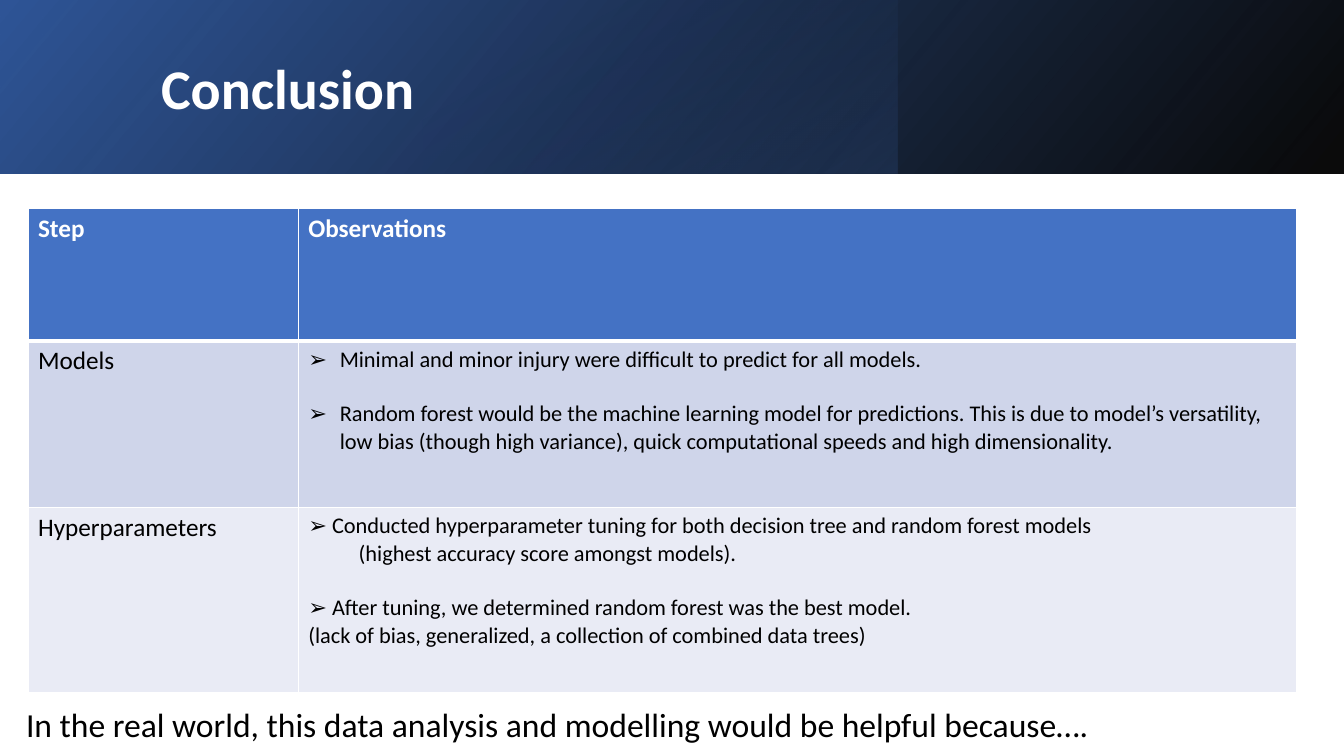
from lxml.etree import SubElement
from pptx import Presentation
from pptx.dml.color import RGBColor
from pptx.enum.shapes import MSO_SHAPE as Shape
from pptx.enum.text import MSO_ANCHOR as Anchor
from pptx.oxml.ns import qn
from pptx.util import Pt

FONT = "Calibri"
WHITE, BLACK, BLUE, NAVY = "FFFFFF", "000000", "4472C4", "203864"
COLUMNS = (193, 713)
ROWS = (94.5, 119, 132)
ROW_FILLS = (BLUE, "CFD5EA", "E9EBF5")
BLANK_LINE = 19.5

MODELS = [
    ("Minimal and minor injury were difficult to predict for all models.",
     {"hang": 22.5, "bullet": True}),
    ("Random forest would be the machine learning model for predictions. "
     "This is due to model’s versatility, low bias (though high variance), "
     "quick computational speeds and high dimensionality.",
     {"hang": 22.5, "bullet": True, "before": BLANK_LINE}),
]
HYPERPARAMETERS = [
    ("Conducted hyperparameter tuning for both decision tree and random forest models",
     {"hang": 17, "bullet": True}),
    ("(highest accuracy score amongst models).", {"left": 36}),
    ("After tuning, we determined random forest was the best model.",
     {"hang": 17, "bullet": True, "before": BLANK_LINE}),
    ("(lack of bias, generalized, a collection of combined data trees)", {}),
]


def color(value):
    """Turn a hex string into a colour."""
    return RGBColor.from_string(value)


def add_run(paragraph, text, size, ink, bold=False):
    """Add one formatted run to a paragraph."""
    run = paragraph.add_run()
    run.text = text
    font = run.font
    font.name, font.size, font.bold = FONT, Pt(size), bold
    font.color.rgb = color(ink)


def format_item(paragraph, left=0, hang=0, bullet=False, before=0):
    """Set the indents, bullet and space before of a list item."""
    properties = paragraph._p.get_or_add_pPr()
    properties.set("marL", str(Pt(left or hang)))
    properties.set("indent", str(-Pt(hang)))
    if before:
        paragraph.space_before = Pt(before)
    if bullet:
        SubElement(properties, qn("a:buFont"), typeface=FONT)
        SubElement(properties, qn("a:buChar"), char="➢")


def add_band(slide, left, width, angle, stops):
    """Add a header band filled with a two-stop gradient."""
    band = slide.shapes.add_shape(Shape.RECTANGLE, Pt(left), 0, Pt(width), Pt(124))
    band.shadow.inherit = False
    band.line.fill.background()
    band.fill.gradient()
    band.fill.gradient_angle = angle
    for stop, (position, tint, _) in zip(band.fill.gradient_stops, stops):
        stop.position = position
        stop.color.rgb = color(tint)
    tints = band._element.spPr.iter(qn("a:srgbClr"))
    for tint, (_, _, opacity) in zip(tints, stops):
        SubElement(tint, qn("a:alpha"), val=str(opacity * 1000))


def add_text(slide, box, text, size, ink, bold=False, anchor=Anchor.TOP, spacing=1.0):
    """Add a wrapped single-paragraph text box."""
    frame = slide.shapes.add_textbox(*map(Pt, box)).text_frame
    frame.word_wrap = True
    frame.vertical_anchor = anchor
    paragraph = frame.paragraphs[0]
    paragraph.line_spacing = spacing
    add_run(paragraph, text, size, ink, bold)


def style_cell(cell, fill, bottom=1):
    """Fill a cell and draw its white borders."""
    cell.fill.solid()
    cell.fill.fore_color.rgb = color(fill)
    properties = cell._tc.get_or_add_tcPr()
    widths = {"a:lnL": 1, "a:lnR": 1, "a:lnT": 1, "a:lnB": bottom}
    for index, (side, width) in enumerate(widths.items()):
        border = SubElement(properties, qn(side), w=str(Pt(width)))
        SubElement(SubElement(border, qn("a:solidFill")), qn("a:srgbClr"), val=WHITE)
        properties.insert(index, border)


def add_findings(slide):
    """Add the table of steps and observations."""
    frame = slide.shapes.add_table(len(ROWS), len(COLUMNS), Pt(20), Pt(149),
                                   Pt(sum(COLUMNS)), Pt(sum(ROWS)))
    findings = frame.table
    for column, width in zip(findings.columns, COLUMNS):
        column.width = Pt(width)
    for index, (row, height, fill) in enumerate(zip(findings.rows, ROWS, ROW_FILLS)):
        row.height = Pt(height)
        for cell in row.cells:
            style_cell(cell, fill, 1 if index else 3)
    for column, heading in enumerate(("Step", "Observations")):
        add_run(findings.cell(0, column).text_frame.paragraphs[0], heading, 18, WHITE, True)
    steps = (("Models", MODELS), ("Hyperparameters", HYPERPARAMETERS))
    for row, (step, observations) in enumerate(steps, 1):
        add_run(findings.cell(row, 0).text_frame.paragraphs[0], step, 18, BLACK)
        notes = findings.cell(row, 1).text_frame
        for index, (text, layout) in enumerate(observations):
            paragraph = notes.add_paragraph() if index else notes.paragraphs[0]
            format_item(paragraph, **layout)
            add_run(paragraph, text, 16, BLACK)


def main():
    """Build the conclusion slide and save it."""
    deck = Presentation()
    deck.slide_width, deck.slide_height = Pt(960), Pt(540)
    slide = deck.slides.add_slide(deck.slide_layouts[6])
    add_band(slide, 0, 960, 320, [(0, "2F5597", 100), (1, BLACK, 96)])
    add_band(slide, 302, 339, 120, [(0, BLUE, 17), (0.74, NAVY, 0)])
    add_text(slide, (108, 25, 746, 81), "Conclusion", 40, WHITE, True, Anchor.MIDDLE, 0.9)
    add_findings(slide)
    add_text(slide, (11.5, 499, 899, 36),
             "In the real world, this data analysis and modelling would be helpful because….",
             24, BLACK)
    deck.save("out.pptx")


if __name__ == "__main__":
    main()
